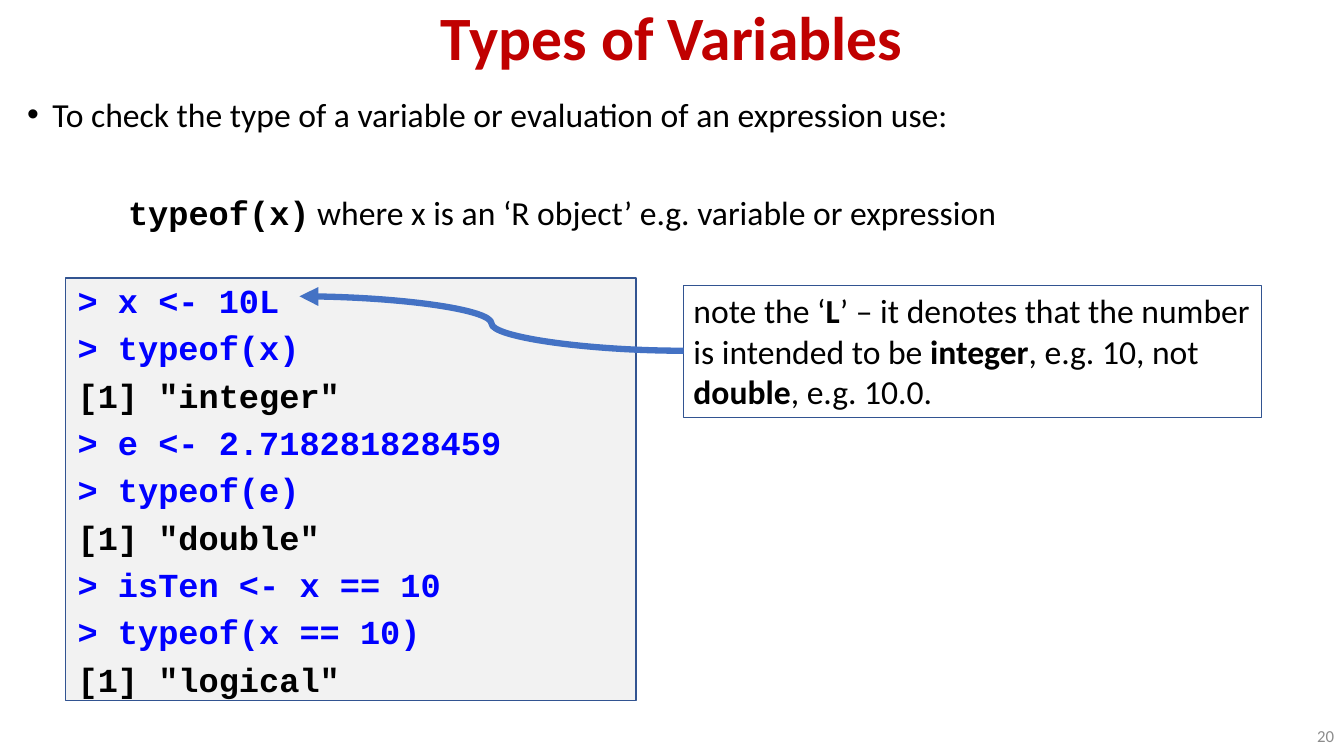
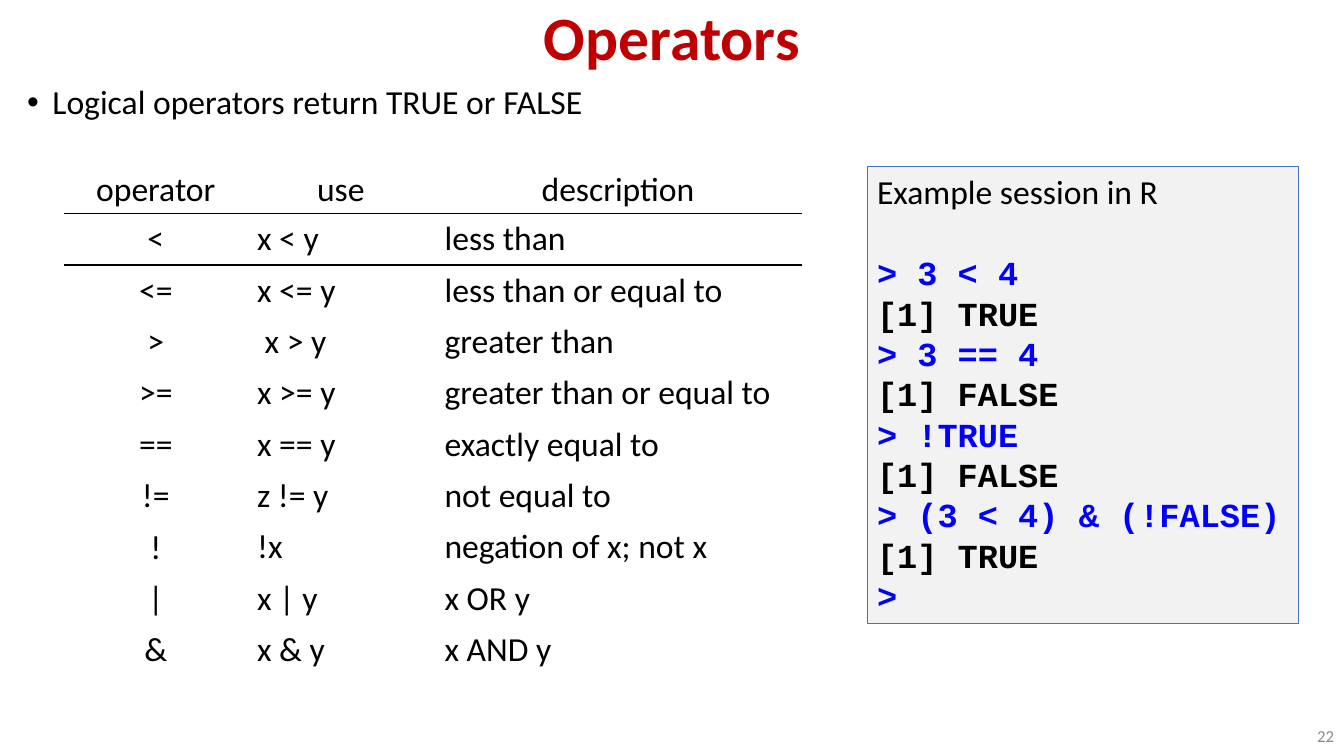
from lxml import etree
from pptx import Presentation
from pptx.dml.color import RGBColor as Rgb
from pptx.enum.shapes import MSO_CONNECTOR as Conn, MSO_SHAPE as Shape
from pptx.enum.text import MSO_ANCHOR as Anchor, MSO_AUTO_SIZE as Fit, PP_ALIGN as Align
from pptx.oxml.ns import qn
from pptx.util import Emu, Pt

PX = 9144
SANS, MONO = "Calibri", "Courier New"
BLACK, RED, BLUE, GRAY = "000000", "C00000", "0000FF", "8C8C8C"
PALE, NAVY, SKY = "F2F2F2", "325491", "4472C4"

CHECK = [
    "> x <- 10L",
    "> typeof(x)",
    '[1] "integer"',
    "> e <- 2.718281828459",
    "> typeof(e)",
    '[1] "double"',
    "> isTen <- x == 10",
    "> typeof(x == 10)",
    '[1] "logical"',
]
LOGIC = [
    "> 3 < 4",
    "[1] TRUE",
    "> 3 == 4",
    "[1] FALSE",
    "> !TRUE",
    "[1] FALSE",
    "> (3 < 4) & (!FALSE)",
    "[1] TRUE",
    ">",
]
NOTE = [
    [("note the ‘", False), ("L", True), ("’ – it denotes that the number", False)],
    [("is intended to be ", False), ("integer", True), (", e.g. 10, not", False)],
    [("double", True), (", e.g. 10.0.", False)],
]
ROWS = [
    ("operator", "use", "description"),
    ("<", "x < y", "less than"),
    ("<=", "x <= y", "less than or equal to"),
    (">", " x > y", "greater than"),
    (">=", "x >= y", "greater than or equal to"),
    ("==", "x == y", "exactly equal to"),
    ("!=", "z != y", "not equal to"),
    ("!", "!x", "negation of x; not x"),
    ("|", "x | y", "x OR y"),
    ("&", "x & y", "x AND y"),
]


def px(*nums):
    return [Emu(num * PX) for num in nums]


def tint(code):
    return Rgb.from_string(code)


def place(shape, *area):
    shape.left, shape.top, shape.width, shape.height = px(*area)


def add_run(para, text, size=24, face=SANS, color=BLACK, bold=False):
    run = para.add_run()
    run.text = text
    font = run.font
    font.size, font.name, font.bold = Pt(size), face, bold
    font.color.rgb = tint(color)


def next_para(frame, gap=0):
    first = frame.paragraphs[0]
    if not first.runs:
        return first
    para = frame.add_paragraph()
    para.space_before = Pt(gap)
    return para


def indent(para, left, hang, mark=None):
    props = para._p.get_or_add_pPr()
    props.set("marL", str(left * PX))
    props.set("indent", str(hang * PX))
    if mark:
        etree.SubElement(props, qn("a:buFont")).set("typeface", "Arial")
        etree.SubElement(props, qn("a:buChar")).set("char", mark)
    else:
        etree.SubElement(props, qn("a:buNone"))


def add_slide(deck, title, point, number, top, pitch):
    slide = deck.slides.add_slide(deck.slide_layouts[1])
    head, body = slide.placeholders
    place(head, 0, 0, 1333, 80)
    head.text_frame.auto_size = Fit.NONE
    head.text_frame.vertical_anchor = Anchor.MIDDLE
    para = head.text_frame.paragraphs[0]
    para.alignment, para.line_spacing = Align.CENTER, 0.9
    add_run(para, title, 44, color=RED, bold=True)

    place(body, 17, top, 1299, 750 - top)
    body.text_frame.auto_size = Fit.NONE
    para = body.text_frame.paragraphs[0]
    para.space_before, para.line_spacing = Pt(0), pitch
    indent(para, 25, -25, "•")
    add_run(para, point)

    frame = slide.shapes.add_textbox(*px(1221, 710, 112, 40)).text_frame
    frame.word_wrap, frame.vertical_anchor = True, Anchor.MIDDLE
    para = frame.paragraphs[0]
    para.alignment = Align.RIGHT
    add_run(para, number, 12, color=GRAY)
    return slide, body.text_frame


def add_box(slide, area, edge, width, fill=None):
    box = slide.shapes.add_shape(Shape.RECTANGLE, *px(*area))
    box.shadow.inherit = False
    if fill:
        box.fill.solid()
        box.fill.fore_color.rgb = tint(fill)
    else:
        box.fill.background()
    box.line.color.rgb, box.line.width = tint(edge), Pt(width)
    frame = box.text_frame
    frame.word_wrap, frame.vertical_anchor = True, Anchor.TOP
    return frame


def add_code(frame, lines, gap=0, lead=0):
    for num, line in enumerate(lines):
        para = next_para(frame, gap if num else lead)
        para.alignment = Align.LEFT
        add_run(para, line, face=MONO, color=BLUE if line[0] == ">" else BLACK, bold=True)


def add_note(frame, lines):
    for line in lines:
        para = next_para(frame)
        para.alignment = Align.LEFT
        for text, bold in line:
            add_run(para, text, bold=bold)


def add_curve(slide, start, end, color, width):
    curve = slide.shapes.add_connector(Conn.CURVE, *px(*start, *end))
    curve.line.color.rgb, curve.line.width = tint(color), Pt(width)
    etree.SubElement(curve.line._get_or_add_ln(), qn("a:tailEnd")).set("type", "triangle")
    etree.SubElement(curve._element.spPr, qn("a:effectLst"))


def rule(cell, side):
    line = etree.Element(qn("a:" + side), w=str(Pt(1)))
    fill = etree.SubElement(line, qn("a:solidFill"))
    etree.SubElement(fill, qn("a:srgbClr")).set("val", BLACK)
    cell._tc.get_or_add_tcPr().insert(0, line)


def add_grid(slide, left, top, wide, rows):
    high = [47] + [51] * (len(rows) - 1)
    area = px(left, top, sum(wide), sum(high))
    table = slide.shapes.add_table(len(rows), len(wide), *area).table
    table.first_row = table.horz_banding = False
    for col, width in zip(table.columns, px(*wide)):
        col.width = width
    for row, height in zip(table.rows, px(*high)):
        row.height = height
    for r, row in enumerate(rows):
        for c, text in enumerate(row):
            cell = table.cell(r, c)
            cell.fill.background()
            para = cell.text_frame.paragraphs[0]
            if r == 0 or c == 0:
                cell.margin_top = cell.margin_bottom = 0
                cell.vertical_anchor = Anchor.MIDDLE
                para.alignment = Align.CENTER
            add_run(para, text)
            if r in (0, 1):
                rule(cell, "lnB")
            if r in (1, 2):
                rule(cell, "lnT")


def add_types(deck):
    point = "To check the type of a variable or evaluation of an expression use:"
    slide, body = add_slide(deck, "Types of Variables", point, "20", 78, 1.25)
    para = next_para(body, 34)
    para.line_spacing = 1.25
    indent(para, 100, 0)
    add_run(para, "typeof(x)", face=MONO, bold=True)
    add_run(para, " where x is an ‘R object’ e.g. variable or expression")

    frame = add_box(slide, (65, 276, 566, 419), NAVY, 1, PALE)
    frame.margin_left = px(12)[0]
    frame.margin_top = frame.margin_bottom = 0
    frame.vertical_anchor = Anchor.MIDDLE
    add_code(frame, CHECK, gap=5)
    add_note(add_box(slide, (678, 283, 573, 131), NAVY, 0.75), NOTE)
    add_curve(slide, (678, 348), (297, 294), SKY, 4.5)


def add_ops(deck):
    point = "Logical operators return TRUE or FALSE"
    slide, _ = add_slide(deck, "Operators", point, "22", 80, 0.9)
    add_grid(slide, 64, 165, (181, 186, 364), ROWS)
    frame = add_box(slide, (860, 165, 428, 454), SKY, 0.75, PALE)
    add_note(frame, [[("Example session in R", False)]])
    add_code(frame, LOGIC, lead=29)


def main():
    deck = Presentation()
    deck.slide_width, deck.slide_height = px(1333, 750)
    add_types(deck)
    add_ops(deck)
    deck.save("out.pptx")


if __name__ == "__main__":
    main()
